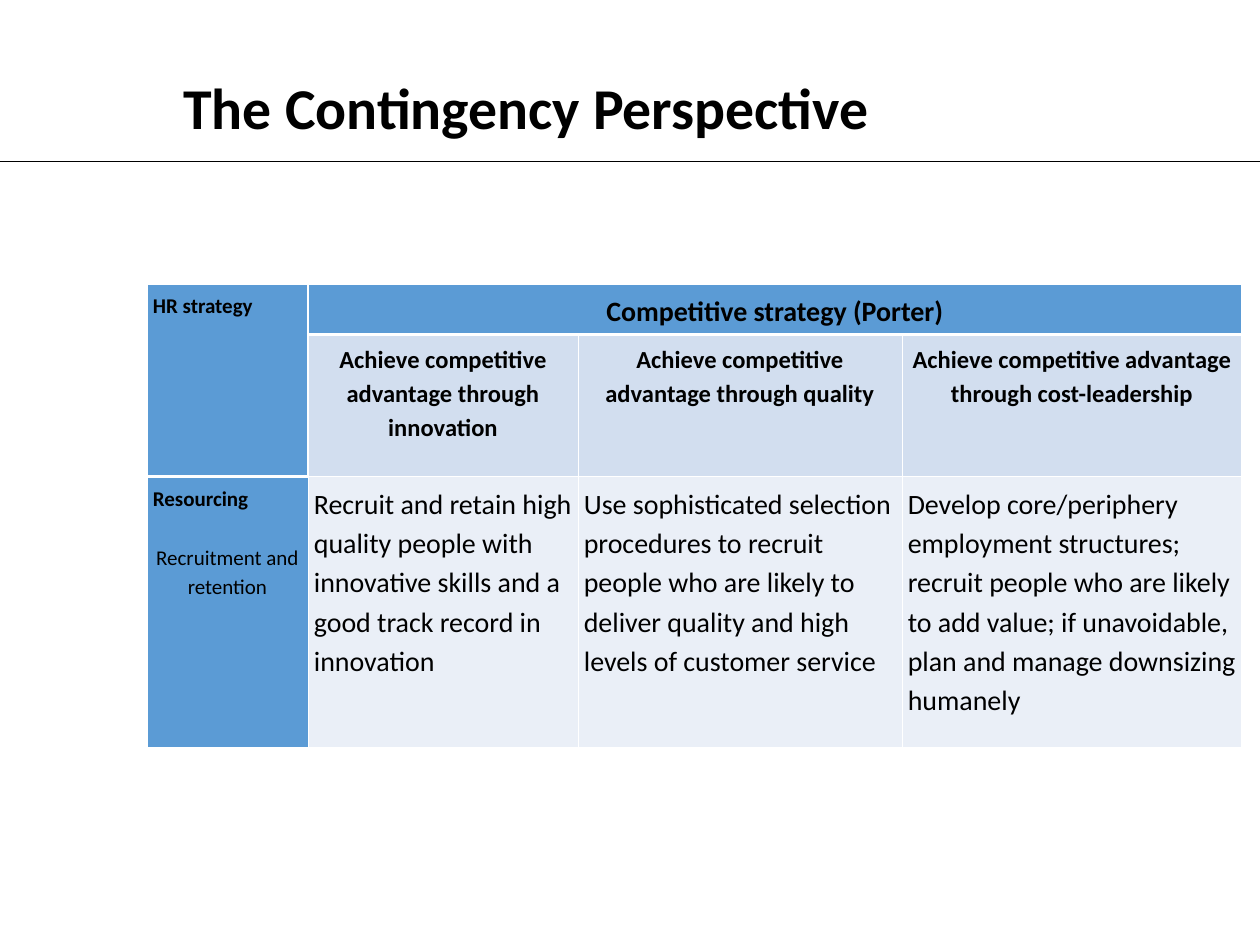
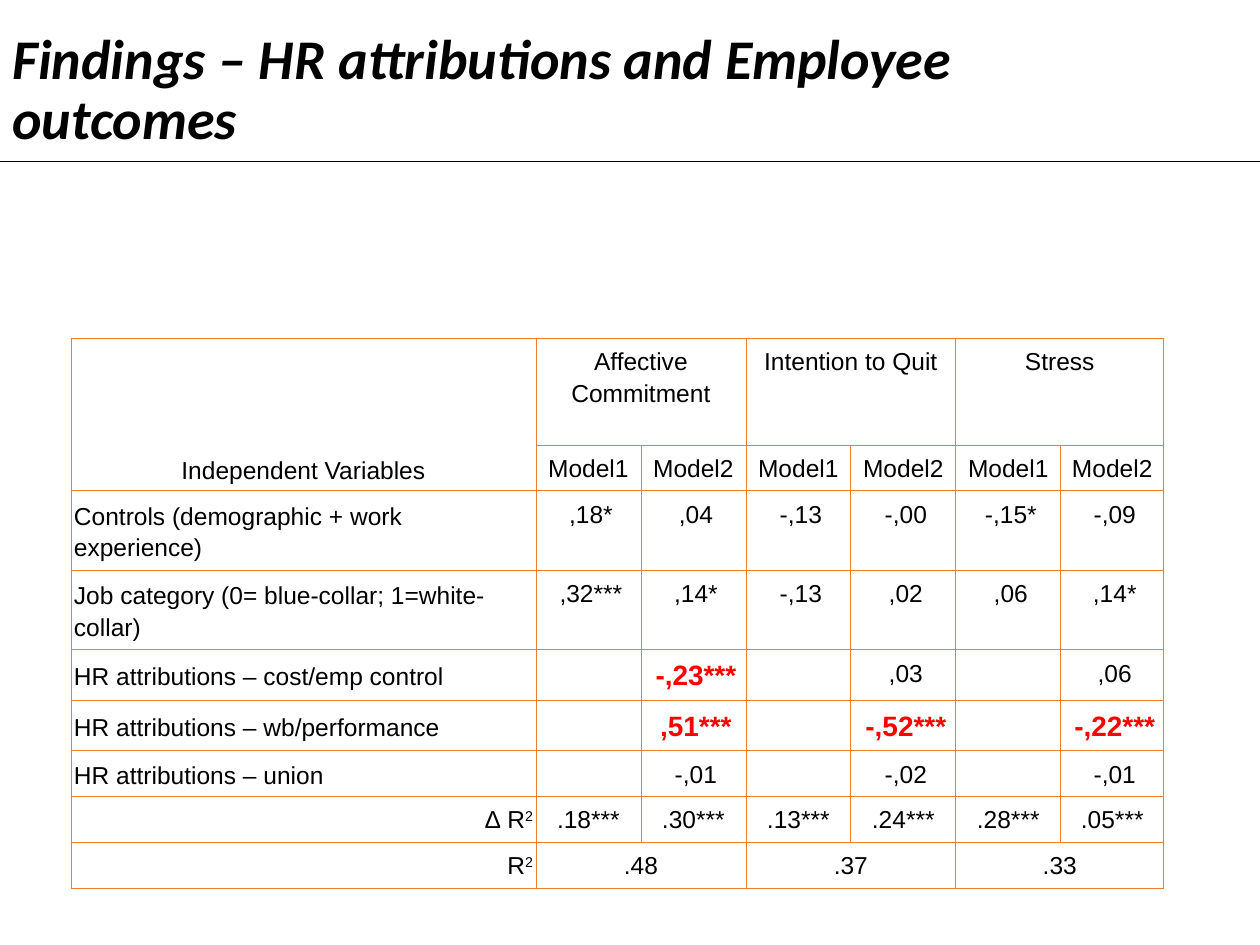
from pptx import Presentation
from pptx.dml.color import RGBColor as RGB
from pptx.enum.shapes import MSO_CONNECTOR as LINK
from pptx.enum.text import MSO_ANCHOR as VERT, PP_ALIGN as ALIGN
from pptx.oxml.ns import qn
from pptx.util import Pt
from lxml.etree import SubElement as sub

PX = 914400 // 126
WIDE, HIGH = 1260, 945
BLACK, WHITE, RED, ORANGE = "000000", "FFFFFF", "FF0000", "ED7D31"
BLUE, PALE, FAINT = "5B9BD5", "D2DEEF", "EAEFF7"
THIN, THICK = 0.45, 1.47
LEFT, MID, RIGHT = ALIGN.LEFT, ALIGN.CENTER, ALIGN.RIGHT

# Content: "^" starts a superscript, None is a cell covered by a merge
TITLES = [
    dict(text="The Contingency Perspective", box=(171, 62, 1067, 97), size=33),
    dict(text="Findings – HR attributions and Employee outcomes",
         box=(0, 13, 1092, 157), size=32, italic=True),
]
PORTER = [
    ["HR strategy", "Competitive strategy (Porter)", None, None],
    [None,
     "Achieve competitive advantage through innovation",
     "Achieve competitive advantage through quality",
     "Achieve competitive advantage through cost-leadership"],
    ["Resourcing",
     "Recruit and retain high quality people with innovative skills "
     "and a good track record in innovation",
     "Use sophisticated selection procedures to recruit people who are "
     "likely to deliver quality and high levels of customer service",
     "Develop core/periphery employment structures; recruit people who "
     "are likely to add value; if unavoidable, plan and manage "
     "downsizing humanely"],
]
DETAIL = "Recruitment and retention"
MODELS = [
    ["Independent Variables", "Affective Commitment", None,
     "Intention to Quit", None, "Stress", None],
    [None] + ["Model1", "Model2"] * 3,
    ["Controls (demographic + work experience)",
     ",18*", ",04", "-,13", "-,00", "-,15*", "-,09"],
    ["Job category (0= blue-collar; 1=white-collar)",
     ",32***", ",14*", "-,13", ",02", ",06", ",14*"],
    ["HR attributions – cost/emp control",
     "", "-,23***", "", ",03", "", ",06"],
    ["HR attributions – wb/performance",
     "", ",51***", "", "-,52***", "", "-,22***"],
    ["HR attributions – union", "", "-,01", "", "-,02", "", "-,01"],
    ["∆ R^2", ".18***", ".30***", ".13***", ".24***", ".28***", ".05***"],
    ["R^2", ".48", None, ".37", None, ".33", None],
]
KEY = {(4, 2), (5, 2), (5, 4), (5, 6)}

deck = Presentation()
deck.slide_width, deck.slide_height = WIDE * PX, HIGH * PX


def hue(code):
    return RGB.from_string(code)


def write(frame, text, size=14, face="Calibri", color=BLACK, bold=False,
          italic=False, align=LEFT, space=1.15, before=0, indent=0, more=False):
    """Fill the first paragraph of a frame, or add one more."""
    par = frame.add_paragraph() if more else frame.paragraphs[0]
    par.alignment, par.line_spacing = align, space
    if before:
        par.space_before = Pt(before)
    if indent:
        par._p.get_or_add_pPr().set("marL", str(indent * PX))
    if not text:
        sub(par._p, qn("a:endParaRPr"), sz=str(size * 100))
        return
    for i, part in enumerate(text.split("^")):
        run = par.add_run()
        run.text = part
        font = run.font
        font.size, font.name = Pt(size), face
        font.bold, font.italic = bold, italic
        font.color.rgb = hue(color)
        if i:
            font._element.set("baseline", "30000")


def start(text, box, **form):
    """Add a slide with the shared rule and title."""
    page = deck.slides.add_slide(deck.slide_layouts[6])
    rule = page.shapes.add_connector(LINK.STRAIGHT, 0, 161 * PX,
                                     WIDE * PX, 161 * PX)
    rule.line.color.rgb, rule.line.width = hue(BLACK), Pt(0.51)
    sub(rule._element.spPr, qn("a:effectLst"))
    frame = page.shapes.add_textbox(*(n * PX for n in box)).text_frame
    frame.word_wrap, frame.vertical_anchor = True, VERT.MIDDLE
    write(frame, text, bold=True, space=0.9, **form)
    return page


def grid(page, left, top, cols, rows, spans):
    """Add a plain table with its sizes and merged cells."""
    table = page.shapes.add_table(
        len(rows), len(cols), left * PX, top * PX,
        sum(cols) * PX, sum(rows) * PX).table
    table.first_row = table.horz_banding = False
    for col, wide in zip(table.columns, cols):
        col.width = wide * PX
    for row, high in zip(table.rows, rows):
        row.height = high * PX
    for r, c, down, over in spans:
        table.cell(r, c).merge(table.cell(r + down - 1, c + over - 1))
    return table


def dress(cell, color, sides, fill=None, side=6, anchor=VERT.TOP):
    """Set borders (left, right, top, bottom), fill, margins and anchor."""
    props = cell._tc.get_or_add_tcPr()
    for tag, width in zip(("lnL", "lnR", "lnT", "lnB"), sides):
        line = sub(props, qn("a:" + tag), w=str(Pt(width)))
        sub(sub(line, qn("a:solidFill")), qn("a:srgbClr"), val=color)
    if fill:
        cell.fill.solid()
        cell.fill.fore_color.rgb = hue(fill)
    else:
        cell.fill.background()
    cell.margin_left = cell.margin_right = side * PX
    cell.margin_top = cell.margin_bottom = 6 * PX
    cell.vertical_anchor = anchor


# Slide 1: strategy table
page = start(**TITLES[0])
table = grid(page, 147, 284, [161, 270, 324, 340], [39, 142, 271],
             [(0, 0, 2, 1), (0, 1, 1, 3)])
for r, row in enumerate(PORTER):
    for c, text in enumerate(row):
        cell = table.cell(r, c)
        heavy = ((r, c) == (1, 1), c == 0 and r < 2,
                 r == 1 or (r, c) == (2, 0), r == 0)
        fill = BLUE if r == 0 or c == 0 else (PALE, FAINT)[r - 1]
        dress(cell, WHITE, [THICK if h else THIN for h in heavy], fill)
        if text:
            write(cell.text_frame, text, bold=r < 2 or c == 0,
                  size=12 if c == 0 else (16, 14, 16)[r],
                  align=MID if c and r < 2 else LEFT)
write(table.cell(2, 0).text_frame, DETAIL, size=12, align=MID,
      before=17, more=True)

# Slide 2: regression table
page = start(**TITLES[1])
pairs = [(r, c, 1, 2) for r in (0, 8) for c in (1, 3, 5)]
table = grid(page, 71, 338, [465] + [105] * 5 + [103],
             [107, 39, 73, 73, 39, 44, 39, 39, 39], [(0, 0, 2, 1)] + pairs)
for r, row in enumerate(MODELS):
    for c, text in enumerate(row):
        cell, body = table.cell(r, c), 2 <= r <= 6
        anchor = VERT.TOP
        if c == 0 and r < 7:
            anchor = VERT.MIDDLE if body else VERT.BOTTOM
        dress(cell, ORANGE, [THIN] * 4, side=3, anchor=anchor)
        if text is None:
            continue
        key = (r, c) in KEY
        align = MID if c or r < 2 else LEFT if body else RIGHT
        write(cell.text_frame, text, face="Arial", size=16 if key else 14,
              color=RED if key else BLACK, bold=key, align=align,
              indent=5 if body and c else 0)

deck.save("out.pptx")
